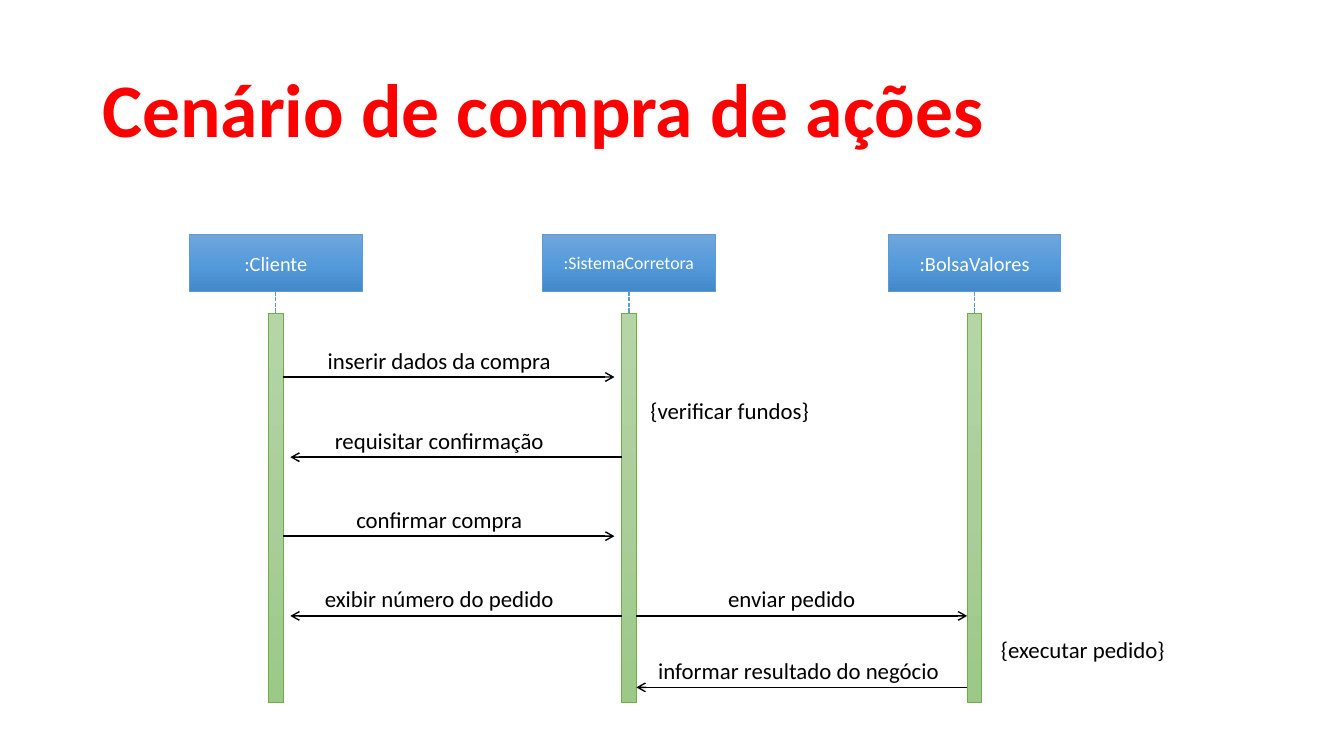
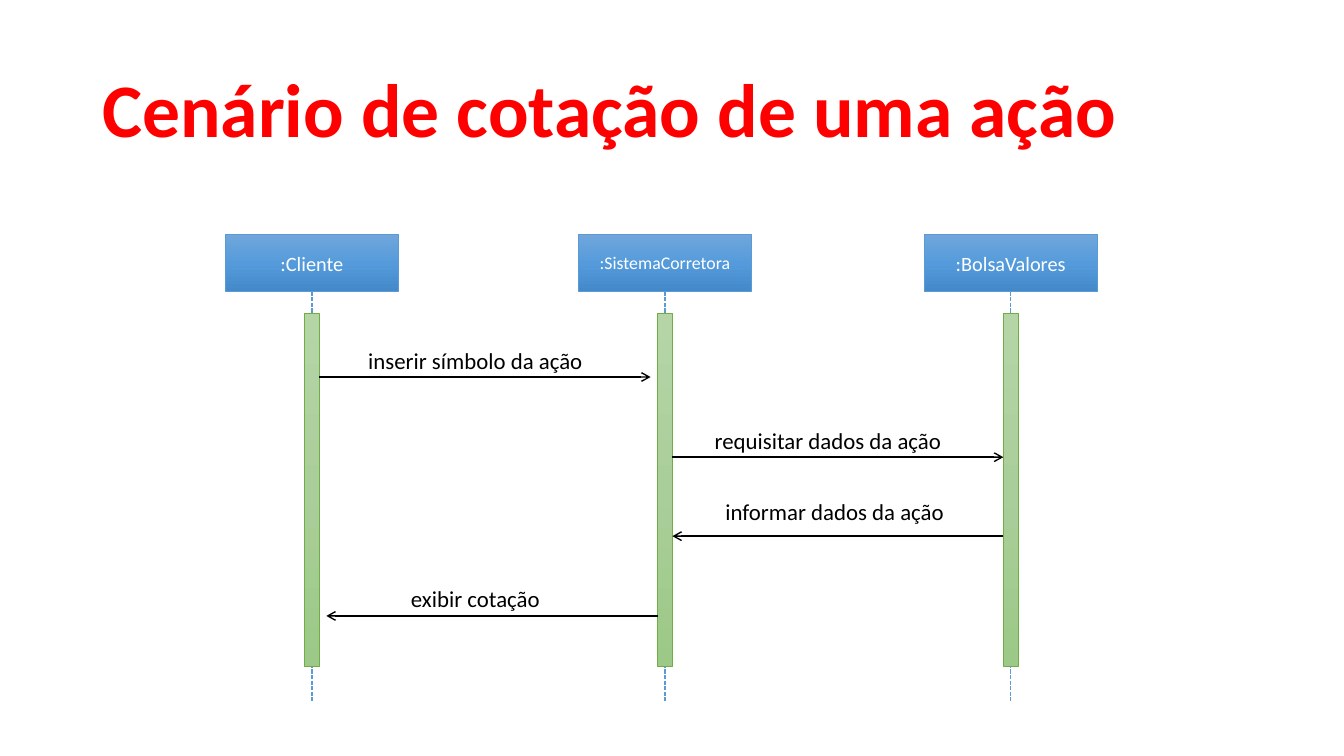
from copy import deepcopy

from lxml import etree
from pptx import Presentation
from pptx.dml.color import RGBColor
from pptx.enum.dml import MSO_LINE
from pptx.enum.shapes import MSO_CONNECTOR, MSO_SHAPE
from pptx.enum.text import MSO_ANCHOR, MSO_AUTO_SIZE, PP_ALIGN
from pptx.oxml.ns import qn
from pptx.util import Cm, Pt

RECT = MSO_SHAPE.RECTANGLE
STRAIGHT = MSO_CONNECTOR.STRAIGHT
DASH = MSO_LINE.SQUARE_DOT
MIDDLE = MSO_ANCHOR.MIDDLE
GROW = MSO_AUTO_SIZE.SHAPE_TO_FIT_TEXT
CENTER = PP_ALIGN.CENTER
LEFT = PP_ALIGN.LEFT

FONT = "Calibri"
RED = RGBColor(0xFF, 0x00, 0x00)
BLACK = RGBColor(0x00, 0x00, 0x00)
WHITE = RGBColor(0xFF, 0xFF, 0xFF)
BLUE = RGBColor(0x5B, 0x9B, 0xD5)
GREEN = RGBColor(0x70, 0xAD, 0x47)
BLUES = (RGBColor(0x71, 0xA6, 0xDB), RGBColor(0x55, 0x9B, 0xDB),
         RGBColor(0x44, 0x8A, 0xCA))
GREENS = (RGBColor(0xB5, 0xD5, 0xA7), RGBColor(0xAA, 0xCE, 0x9A),
          RGBColor(0x9C, 0xC9, 0x87))

ACTORS = ((":Cliente", 0, 14.5), (":SistemaCorretora", 8.9, 12.7),
          (":BolsaValores", 17.61, 14.5))
CLIENT, BROKER, MARKET = range(3)
BOX_TOP, BOX_W, BOX_H = 5.9, 4.35, 1.45
BAR_TOP, BAR_W = 7.9, 0.37
LIFE_END = 17.68
LABEL_H = 0.96
RISE = 0.9
GAP = 0.18
ROWS = (9.5, 11.52, 13.51, 15.52, 17.32)


def write(frame, text, size, color, align=CENTER, bold=False):
    para = frame.paragraphs[0]
    para.text = text
    para.alignment = align
    font = para.font
    font.name, font.size, font.bold = FONT, Pt(size), bold
    font.color.rgb = color
    return para


def add_title(slide, text):
    box = slide.shapes.add_textbox(Cm(2.33), Cm(1.01), Cm(29.21), Cm(3.68))
    frame = box.text_frame
    frame.word_wrap = True
    frame.vertical_anchor = MIDDLE
    write(frame, text, 54, RED, LEFT, True).line_spacing = 0.9


def add_block(slide, mid, top, width, height, colors, edge):
    shape = slide.shapes.add_shape(
        RECT, Cm(mid - width / 2), Cm(top), Cm(width), Cm(height))
    shape.shadow.inherit = False
    shape.line.color.rgb = edge
    shape.line.width = Pt(0.5)
    fill = shape.fill
    fill.gradient()
    fill.gradient_angle = 270
    first = next(shape._element.spPr.iter(qn("a:gs")))
    first.addnext(deepcopy(first))
    for stop, place, color in zip(fill.gradient_stops, (0, 0.5, 1), colors):
        stop.position = place
        stop.color.rgb = color
    return shape


def add_line(slide, start, end, color):
    line = slide.shapes.add_connector(STRAIGHT, *map(Cm, start + end))
    line.line.color.rgb = color
    line.line.width = Pt(1)
    etree.SubElement(line._element.spPr, qn("a:effectLst"))
    return line


def add_label(slide, text, mid, top, width):
    box = slide.shapes.add_textbox(
        Cm(mid - width / 2), Cm(top), Cm(width), Cm(LABEL_H))
    frame = box.text_frame
    frame.word_wrap = False
    frame.auto_size = GROW
    write(frame, text, 16.3, BLACK)


def add_actor(slide, name, size, mid, bar_h):
    box = add_block(slide, mid, BOX_TOP, BOX_W, BOX_H, BLUES, BLUE)
    box.text_frame.vertical_anchor = MIDDLE
    write(box.text_frame, name, size, WHITE)
    life = add_line(slide, (mid, BOX_TOP + BOX_H), (mid, LIFE_END), BLUE)
    life.line.dash_style = DASH
    add_block(slide, mid, BAR_TOP, BAR_W, bar_h, GREENS, GREEN)


def add_call(slide, mids, source, target, row, text, width, lift=RISE):
    way = 1 if source < target else -1
    inner = CLIENT in (source, target)
    gap = GAP if inner else 0
    y = ROWS[row]
    start = mids[source] + way * BAR_W / 2
    end = mids[target] - way * (BAR_W / 2 + gap)
    arrow = add_line(slide, (start, y), (end, y), BLACK)
    ln = arrow._element.spPr.get_or_add_ln()
    etree.SubElement(ln, qn("a:tailEnd"), type="arrow")
    shift = 0.33 if inner else 0.25 if way > 0 else 0.08
    mid = (mids[source] + mids[target]) / 2 - shift
    add_label(slide, text, mid, y - lift, width)


def add_scene(deck, title, first, bar_h, calls, notes=()):
    slide = deck.slides.add_slide(deck.slide_layouts[6])
    add_title(slide, title)
    mids = [first + step for _, step, _ in ACTORS]
    for (name, _, size), mid in zip(ACTORS, mids):
        add_actor(slide, name, size, mid, bar_h)
    for call in calls:
        add_call(slide, mids, *call)
    for actor, shift, top, text, width in notes:
        add_label(slide, text, mids[actor] + shift, top, width)


def main():
    deck = Presentation()
    deck.slide_width, deck.slide_height = Cm(33.87), Cm(19.05)
    add_scene(
        deck, "Cenário de compra de ações", 6.95, 9.8,
        ((CLIENT, BROKER, 0, "inserir dados da compra", 6.22),
         (BROKER, CLIENT, 1, "requisitar confirmação", 5.87),
         (CLIENT, BROKER, 2, "confirmar compra", 4.75),
         (BROKER, CLIENT, 3, "exibir número do pedido", 6.38),
         (BROKER, MARKET, 3, "enviar pedido", 3.76),
         (MARKET, BROKER, 4, "informar resultado do negócio", 7.7)),
        ((BROKER, 2.54, 9.88, "{verificar fundos}", 4.57),
         (MARKET, 2.73, 15.9, "{executar pedido}", 4.7)))
    add_scene(
        deck, "Cenário de cotação de uma ação", 7.86, 8.89,
        ((CLIENT, BROKER, 0, "inserir símbolo da ação", 5.99),
         (BROKER, MARKET, 1, "requisitar dados da ação", 6.3),
         (MARKET, BROKER, 2, "informar dados da ação", 6.1, 1.09),
         (BROKER, CLIENT, 3, "exibir cotação", 3.81)))
    deck.save("out.pptx")


if __name__ == "__main__":
    main()
